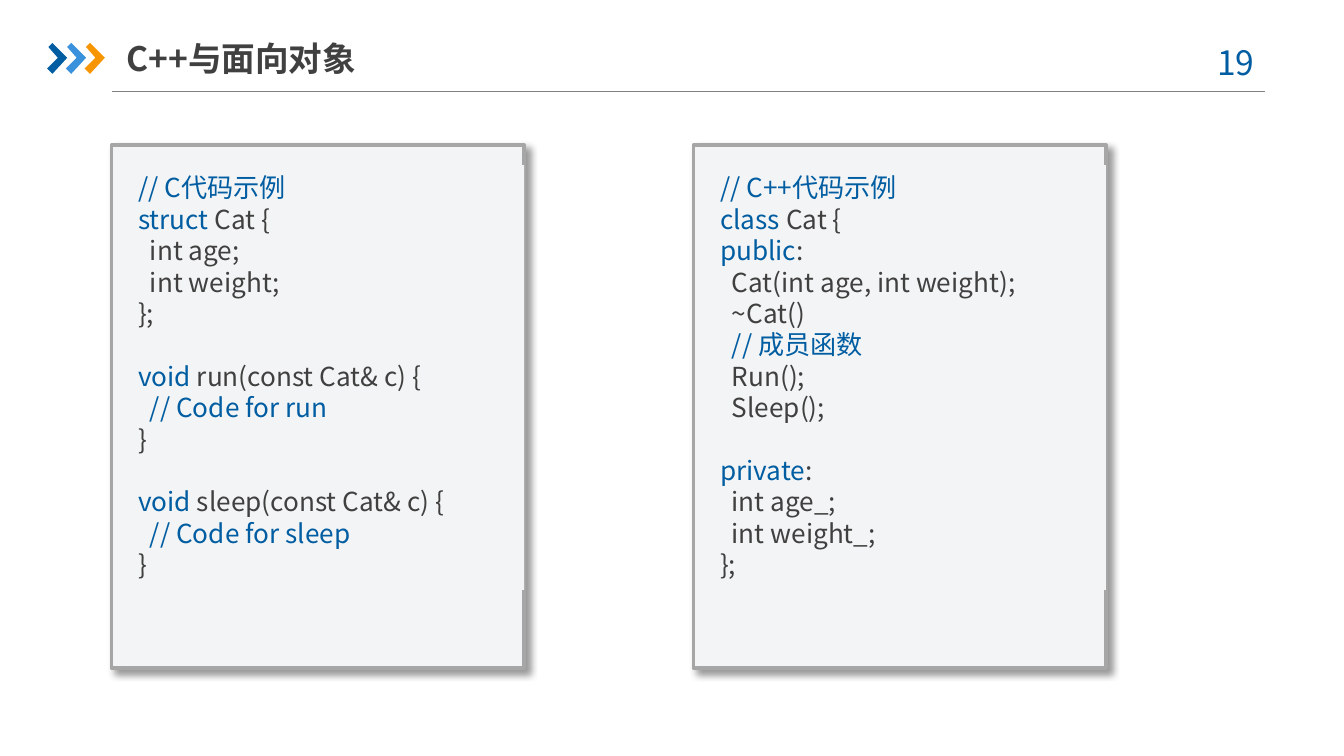
from lxml.etree import SubElement
from pptx import Presentation
from pptx.dml.color import RGBColor
from pptx.enum.shapes import MSO_CONNECTOR as Connector, MSO_SHAPE as Shape
from pptx.enum.text import MSO_ANCHOR as Anchor, PP_ALIGN as Align
from pptx.oxml.ns import qn
from pptx.util import Inches, Pt

BLUE = RGBColor(0x00, 0x5D, 0xA2)
SKY = RGBColor(0x39, 0x92, 0xDB)
ORANGE = RGBColor(0xF7, 0x96, 0x00)
DARK = RGBColor(0x40, 0x40, 0x40)
RULE = RGBColor(0x80, 0x80, 0x80)
BORDER = RGBColor(0xA6, 0xA6, 0xA6)
PANEL = RGBColor(0xF3, 0xF4, 0xF5)

FONT = "Noto Sans CJK SC"
CELL = 0.1
COLUMNS, ROWS = 100, 56.25
CARD_LEFT, CARD_TOP, CARD_WIDTH, CARD_HEIGHT = 8.3, 10.8, 30.7, 38.9
CARD_STEP = 43.3
CODE_LINE = Pt(16.8)
HEADING_LINE = Pt(21.6)
CHEVRON = [(0.1, 0.3), (0.4, 0), (1.5, 1.1), (0.4, 2.3), (0, 1.9), (0.8, 1.1)]

C_CODE = [
    ("// C代码示例", ""),
    ("struct", " Cat {"),
    ("", "  int age;"),
    ("", "  int weight;"),
    ("", "};"),
    None,
    ("void ", "run(const Cat& c) {"),
    ("  // Code for run", ""),
    ("", "}"),
    None,
    ("void ", "sleep(const Cat& c) {"),
    ("  // Code for sleep", ""),
    ("", "}"),
]
CPP_CODE = [
    ("// C++代码示例", ""),
    ("class", " Cat {"),
    ("public", ":"),
    ("", "  Cat(int age, int weight);"),
    ("", "  ~Cat()"),
    ("  // 成员函数", ""),
    ("", "  Run();"),
    ("", "  Sleep();"),
    None,
    ("private", ":"),
    ("", "  int age_;"),
    ("", "  int weight_;"),
    ("", "};"),
]


def grid(*cells):
    return [Inches(cell * CELL) for cell in cells]


def assign(target, values):
    for name, value in values.items():
        setattr(target, name, value)


def place(shape, *cells):
    assign(shape, dict(zip(("left", "top", "width", "height"), grid(*cells))))


def add_run(paragraph, text, color, size, bold=False):
    run = paragraph.add_run()
    run.text = text
    assign(run.font, {"name": FONT, "size": Pt(size), "bold": bold})
    run.font.color.rgb = color
    SubElement(run.font._element, qn("a:ea"), typeface=FONT)


def add_title(slide, text):
    title = slide.shapes.title
    place(title, 9.4, 2.2, 23.3, 4.2)
    assign(title.text_frame, {
        "margin_left": 0, "margin_right": 0, "margin_top": Inches(0.05),
        "margin_bottom": Inches(0.05), "vertical_anchor": Anchor.MIDDLE,
        "word_wrap": True,
    })
    paragraph = title.text_frame.paragraphs[0]
    assign(paragraph, {"alignment": Align.LEFT, "line_spacing": HEADING_LINE,
                       "space_before": Pt(0)})
    add_run(paragraph, text, DARK, 18, True)


def add_page_number(slide, text):
    box = slide.shapes.add_textbox(*grid(88.6, 2.6, 7.3, 4))
    box.text_frame.word_wrap = True
    paragraph = box.text_frame.paragraphs[0]
    assign(paragraph, {"alignment": Align.CENTER, "line_spacing": HEADING_LINE})
    add_run(paragraph, text, BLUE, 18)


def add_rule(slide):
    rule = slide.shapes.add_connector(
        Connector.STRAIGHT, *grid(8.3, 6.8, 94.1, 6.8))
    rule.line.color.rgb = RULE
    rule.line.width = Pt(0.75)
    SubElement(rule._element.spPr, qn("a:effectLst"))


def add_chevrons(slide):
    group = slide.shapes.add_group_shape()
    for index, color in enumerate((BLUE, SKY, ORANGE)):
        points = [grid(3.5 + 1.4 * index + x, 3.2 + y) for x, y in CHEVRON]
        builder = group.shapes.build_freeform(*points[0])
        builder.add_line_segments(points[1:], close=True)
        chevron = builder.convert_to_shape()
        chevron.shadow.inherit = False
        chevron.fill.solid()
        chevron.fill.fore_color.rgb = color
        chevron.line.fill.background()


def add_shadow(shape):
    shape.shadow.inherit = False
    effects = shape._element.spPr.find(qn("a:effectLst"))
    shadow = SubElement(
        effects, qn("a:outerShdw"), blurRad=str(Pt(4)), dist=str(Pt(3)),
        dir=str(45 * 60000), algn="tl", rotWithShape="0")
    color = SubElement(shadow, qn("a:srgbClr"), val="000000")
    SubElement(color, qn("a:alpha"), val="40000")


def write_code(frame, lines):
    paragraph, gap = frame.paragraphs[0], Pt(0)
    for index, line in enumerate(lines):
        if line is None:
            gap = CODE_LINE
            continue
        if index:
            paragraph = frame.add_paragraph()
        assign(paragraph, {"line_spacing": CODE_LINE, "space_before": gap})
        gap = Pt(0)
        for text, color in zip(line, (BLUE, DARK)):
            if text:
                add_run(paragraph, text, color, 14)


def add_code_card(slide, column, lines):
    left = CARD_LEFT + column * CARD_STEP
    group = slide.shapes.add_group_shape()
    card = group.shapes.add_shape(
        Shape.RECTANGLE, *grid(left, CARD_TOP, CARD_WIDTH, CARD_HEIGHT))
    card.line.color.rgb = BORDER
    card.line.width = Pt(2)
    add_shadow(card)
    code = group.shapes.add_textbox(
        *grid(left + 1, CARD_TOP + 1.5, CARD_WIDTH - 1, 31.6))
    for shape in (card, code):
        shape.fill.solid()
        shape.fill.fore_color.rgb = PANEL
    code.text_frame.word_wrap = True
    write_code(code.text_frame, lines)


def main():
    presentation = Presentation()
    assign(presentation, dict(zip(("slide_width", "slide_height"),
                                  grid(COLUMNS, ROWS))))
    slide = presentation.slides.add_slide(presentation.slide_layouts[5])
    add_rule(slide)
    add_chevrons(slide)
    add_page_number(slide, "19 ")
    add_title(slide, "C++与面向对象")
    for column, lines in enumerate((C_CODE, CPP_CODE)):
        add_code_card(slide, column, lines)
    presentation.save("out.pptx")


if __name__ == "__main__":
    main()
